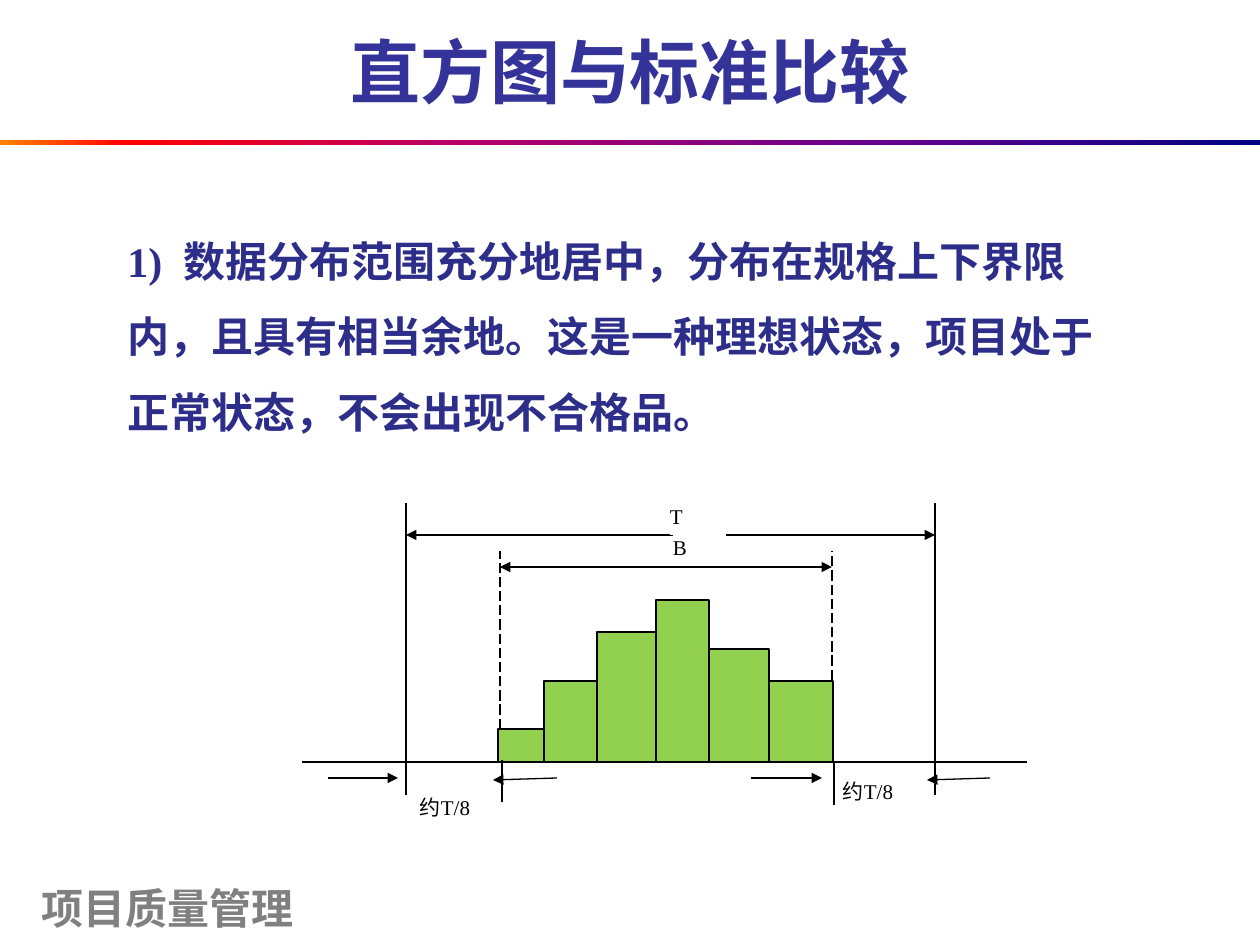
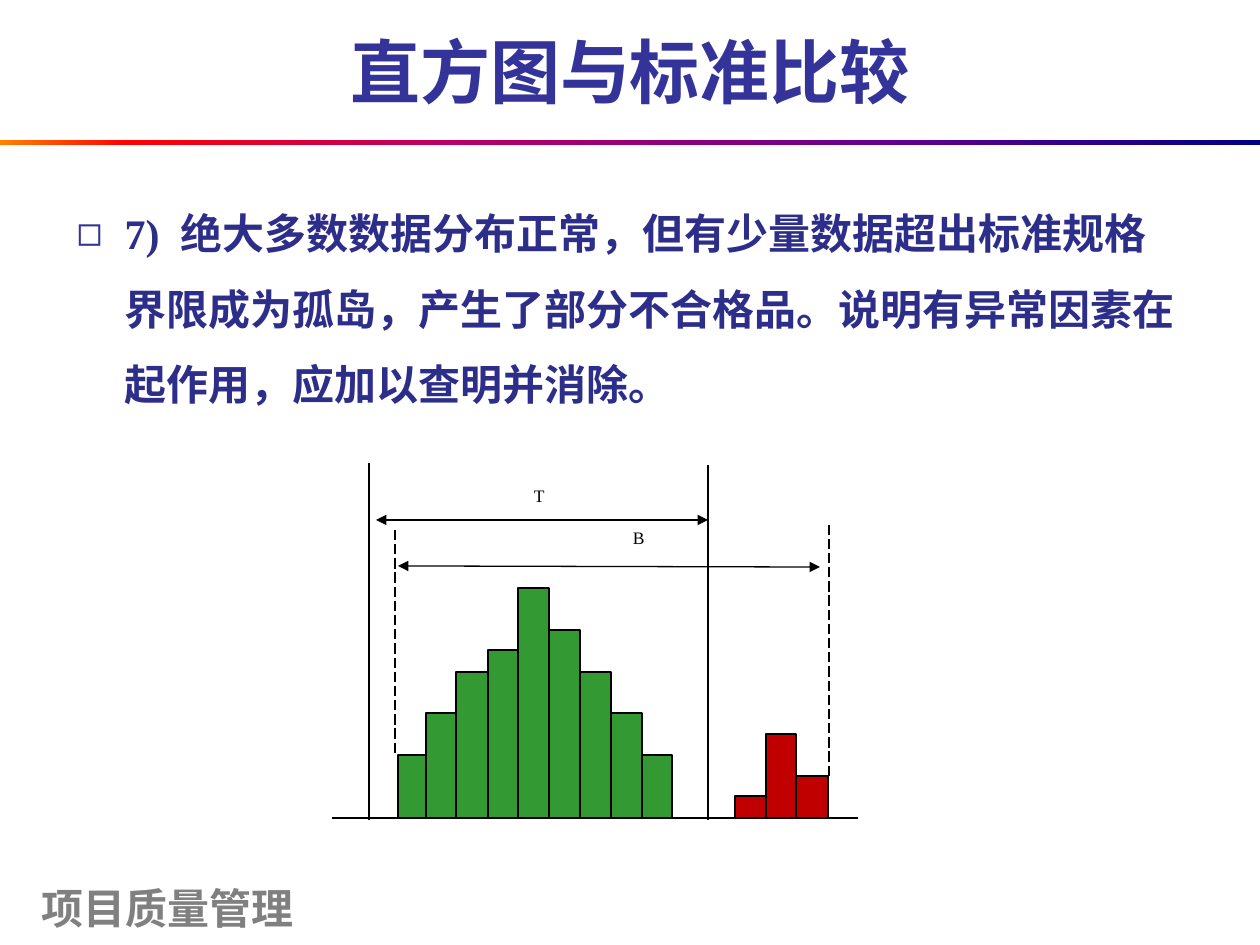
from itertools import pairwise

from lxml.etree import SubElement
from pptx import Presentation
from pptx.dml.color import RGBColor
from pptx.enum.dml import MSO_LINE
from pptx.enum.shapes import MSO_CONNECTOR, MSO_SHAPE
from pptx.enum.text import MSO_ANCHOR as Anchor, MSO_AUTO_SIZE as AutoSize, PP_ALIGN as Align
from pptx.oxml.ns import qn
from pptx.util import Pt

# Shared look
PX = 914400 / 126
COLORS = {
    "title": "333399", "body": "2D2D8A", "footer": "808080", "ink": "000000",
    "paper": "FFFFFF", "lime": "92D050", "green": "339933", "red": "C00000",
}
BAND_STOPS = [(0, "FF8200"), (10, "FF0000"), (35, "BA0066"), (70, "66008F"), (100, "000082")]
SANS, SERIF = "Arial", "Times New Roman"
TITLE = "直方图与标准比较"
FOOTER = "项目质量管理"
TITLE_ONLY, TITLE_AND_BODY = 5, 1

# Content: boxes are left, top, width, height; lines are x1, y1, x2, y2 (px)
SLIDES = [
    {
        "number": "1)",
        "comment": "数据分布范围充分地居中，分布在规格上下界限内，且具有相当余地。"
                   "这是一种理想状态，项目处于正常状态，不会出现不合格品。",
        "comment_box": (115, 204, 1001, 232),
        "bulleted": False,
        "baseline": 762,
        "histograms": [
            ("lime", [498, 544, 597, 656, 709, 769, 833], [729, 681, 632, 600, 649, 681]),
        ],
        "solid": [
            (302, 762, 1027, 762), (406, 503, 406, 795), (935, 503, 935, 795),
            (502, 760, 502, 802), (834, 762, 834, 805),
        ],
        "dashed": [(500, 729, 500, 551), (832, 680, 832, 551)],
        "spans": [(500, 567, 832, 567), (406, 535, 935, 535)],
        "pointers": [
            (557, 778, 493, 780), (990, 778, 927, 780),
            (328, 778, 398, 778), (751, 778, 822, 778),
        ],
        "margins": [("约T/8", (392, 795, 106, 66)), ("约T/8", (815, 779, 106, 66))],
        "span_names": [("B", (673, 534, 53, 32)), ("T", (670, 503, 53, 32))],
        "name_size": 12,
        "name_fill": "paper",
    },
    {
        "number": "7)",
        "comment": "绝大多数数据分布正常，但有少量数据超出标准规格界限成为孤岛，"
                   "产生了部分不合格品。说明有异常因素在起作用，应加以查明并消除。",
        "comment_box": (64, 176, 1134, 624),
        "bulleted": True,
        "baseline": 818,
        "histograms": [
            ("green", [398, 426, 456, 488, 518, 549, 580, 611, 642, 672],
             [755, 713, 672, 650, 588, 630, 672, 713, 755]),
            ("red", [735, 766, 796, 828], [796, 734, 776]),
        ],
        "solid": [(332, 818, 858, 818), (369, 463, 369, 820), (708, 465, 708, 820)],
        "dashed": [(395, 753, 395, 530), (829, 776, 829, 525)],
        "spans": [(398, 566, 820, 567), (376, 520, 708, 520)],
        "pointers": [],
        "margins": [],
        "span_names": [("B", (633, 526, 38, 42)), ("T", (534, 484, 38, 42))],
        "name_size": 10,
        "name_fill": None,
    },
]


def px(*lengths):
    return [round(length * PX) for length in lengths]


def color(name):
    return RGBColor.from_string(COLORS[name])


def style(paragraph, size, face, ink, bold=False, align=None):
    font = paragraph.font
    font.size, font.name, font.bold = Pt(size), face, bold
    font.color.rgb = color(ink)
    paragraph.alignment = align


def place(placeholder, box):
    placeholder.left, placeholder.top, placeholder.width, placeholder.height = px(*box)


def add_text(slide, text, box, size, face, ink, bold=False, align=None, inset=None):
    holder = slide.shapes.add_textbox(*px(*box))
    frame = holder.text_frame
    frame.word_wrap = True
    if inset is not None:
        frame.margin_left = frame.margin_right = 0
        frame.margin_top = frame.margin_bottom = px(inset)[0]
    frame.text = text
    style(frame.paragraphs[0], size, face, ink, bold, align)
    return holder


def add_block(slide, left, top, right, bottom, fill):
    block = slide.shapes.add_shape(MSO_SHAPE.RECTANGLE, *px(left, top, right - left, bottom - top))
    block.shadow.inherit = False
    block.fill.solid()
    block.fill.fore_color.rgb = color(fill)
    block.line.color.rgb = color("ink")
    block.line.width = Pt(0.75)


def add_line(slide, ends, dashed=False, arrows=()):
    connector = slide.shapes.add_connector(MSO_CONNECTOR.STRAIGHT, *px(*ends))
    line = connector.line
    line.color.rgb = color("ink")
    line.width = Pt(0.75)
    if dashed:
        line.dash_style = MSO_LINE.LONG_DASH
    properties = connector._element.spPr
    for end in arrows:
        SubElement(properties.find(qn("a:ln")), qn(f"a:{end}"), type="triangle")
    SubElement(properties, qn("a:effectLst"))


def add_frame(slide):
    """Title, gradient band and footer, the same on every slide."""
    title = slide.shapes.title
    place(title, (64, 6, 1132, 129))
    title.text_frame.text = TITLE
    title.text_frame.vertical_anchor = Anchor.MIDDLE
    title.text_frame.auto_size = AutoSize.NONE
    style(title.text_frame.paragraphs[0], 40, SANS, "title", True, Align.CENTER)

    band = slide.shapes.add_shape(MSO_SHAPE.RECTANGLE, *px(0, 140, 1260, 5))
    band.shadow.inherit = False
    band.line.fill.background()
    band.fill.gradient()
    band.fill.gradient_angle = 0
    stops = band._element.spPr.find(qn("a:gradFill")).find(qn("a:gsLst"))
    stops.clear()
    for percent, shade in BAND_STOPS:
        stop = SubElement(stops, qn("a:gs"), pos=str(percent * 1000))
        SubElement(stop, qn("a:srgbClr"), val=shade)

    footer = add_text(slide, FOOTER, (29, 876, 315, 63), 24, SANS, "footer", True)
    footer.text_frame.vertical_anchor = Anchor.MIDDLE


def add_comment(slide, content):
    if content["bulleted"]:
        holder = slide.placeholders[1]
        place(holder, content["comment_box"])
        holder.text_frame.auto_size = AutoSize.NONE
    else:
        holder = add_text(slide, "", content["comment_box"], 24, SERIF, "body")
    paragraph = holder.text_frame.paragraphs[0]
    style(paragraph, 24, SERIF, "body", True)
    paragraph.line_spacing = 1.5
    paragraph.space_before = Pt(0)
    number, gap, comment = (paragraph.add_run() for _ in range(3))
    number.text, gap.text, comment.text = content["number"], " ", content["comment"]
    gap._r.get_or_add_rPr().set("spc", "600")  # widen the gap after the number
    if content["bulleted"]:
        properties = paragraph._p.get_or_add_pPr()
        indent = px(48)[0]
        properties.set("marL", str(indent))
        properties.set("indent", str(-indent))
        SubElement(SubElement(properties, qn("a:buClr")), qn("a:srgbClr"), val=COLORS["title"])
        SubElement(properties, qn("a:buChar"), char="◻")
        # Bullet elements belong before the default run properties
        defaults = properties.find(qn("a:defRPr"))
        if defaults is not None:
            properties.append(defaults)


def add_diagram(slide, content):
    for name, box in content["margins"]:
        add_text(slide, name, box, 12, SERIF, "ink", align=Align.CENTER, inset=0)
    for fill, edges, tops in content["histograms"]:
        for (left, right), top in zip(pairwise(edges), tops):
            add_block(slide, left, top, right, content["baseline"], fill)
    for ends in content["solid"]:
        add_line(slide, ends)
    for ends in content["dashed"]:
        add_line(slide, ends, dashed=True)
    for ends in content["spans"]:
        add_line(slide, ends, arrows=("headEnd", "tailEnd"))
    for ends in content["pointers"]:
        add_line(slide, ends, arrows=("tailEnd",))
    for name, box in content["span_names"]:
        label = add_text(slide, name, box, content["name_size"], SERIF, "ink",
                         align=Align.JUSTIFY, inset=1)
        if content["name_fill"]:
            label.fill.solid()
            label.fill.fore_color.rgb = color(content["name_fill"])


def main():
    deck = Presentation()
    deck.slide_width, deck.slide_height = px(1260, 945)
    for content in SLIDES:
        layout = TITLE_AND_BODY if content["bulleted"] else TITLE_ONLY
        slide = deck.slides.add_slide(deck.slide_layouts[layout])
        add_frame(slide)
        add_comment(slide, content)
        add_diagram(slide, content)
    deck.save("out.pptx")


if __name__ == "__main__":
    main()
